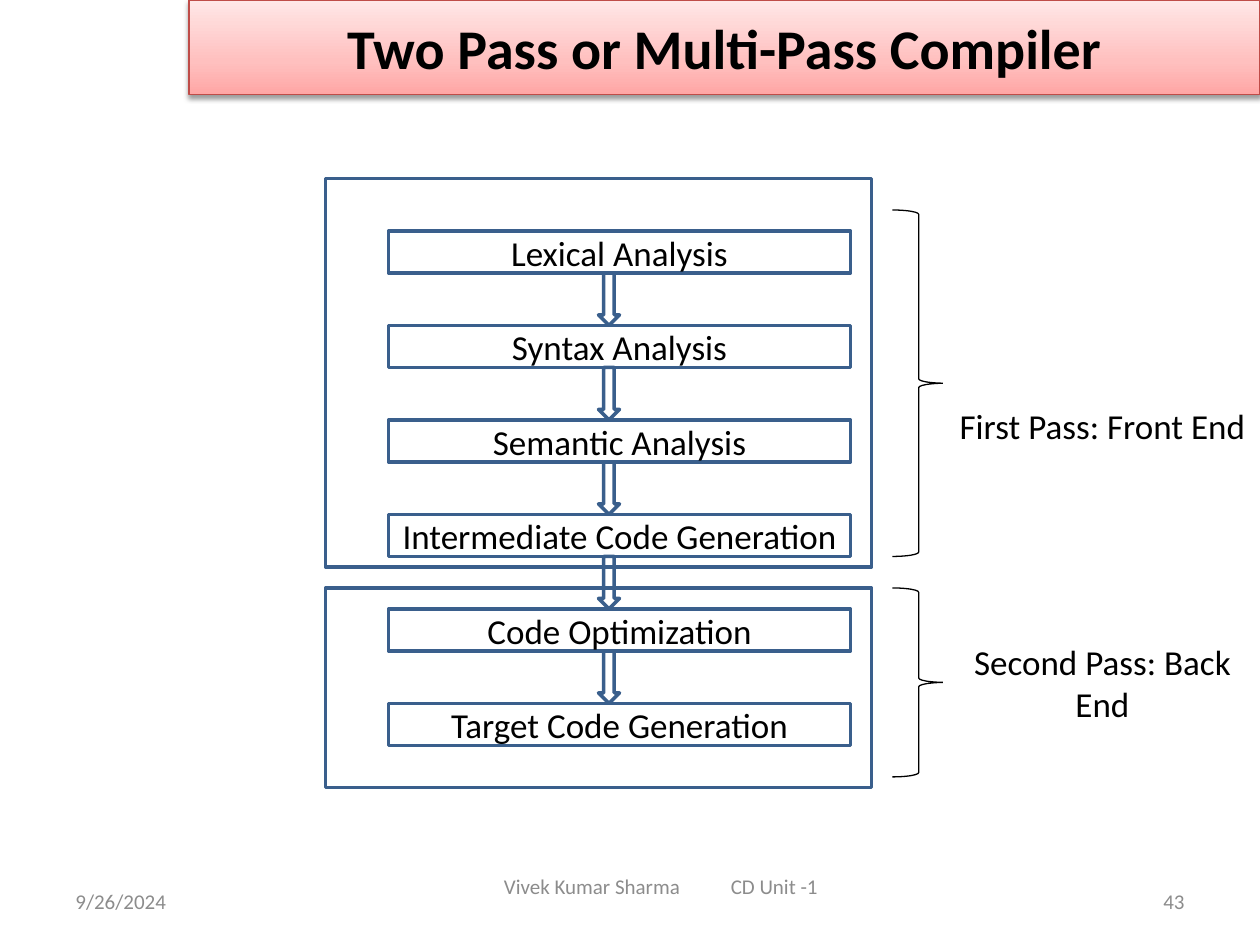
from dataclasses import dataclass

from lxml import etree
from pptx import Presentation
from pptx import util as u
from pptx.dml.color import RGBColor
from pptx.enum import shapes, text
from pptx.oxml.ns import qn

SHAPE = shapes.MSO_SHAPE
ALIGN = text.PP_ALIGN
COLS, ROWS = 120, 90


@dataclass(frozen=True)
class Theme:
    font: str = "Calibri"
    ink: str = "000000"
    paper: str = "FFFFFF"
    blue: str = "3A5F8C"
    red: str = "BF4C48"
    muted: str = "8C8C8C"
    banner: tuple = ((0, "FFA6A5"), (35, "FFC0BF"), (100, "FFE7E7"))
    title_size: int = 32
    body_size: int = 20
    footer_size: int = 12
    heavy: float = 2
    thin: float = 0.75


def write(sp, words, *, font, size, color, bold=False, align=ALIGN.CENTER):
    """Put one formatted paragraph in a shape and return it."""
    tf = sp.text_frame
    tf.word_wrap = True
    tf.auto_size = text.MSO_AUTO_SIZE.NONE
    tf.vertical_anchor = text.MSO_ANCHOR.MIDDLE
    p = tf.paragraphs[0]
    p.alignment = align
    r = p.add_run()
    r.text = words
    r.font.name, r.font.size, r.font.bold = font, u.Pt(size), bold
    r.font.color.rgb = RGBColor.from_string(color)
    return p


def sub(parent, tag, **attrs):
    return etree.SubElement(parent, qn(tag), {k: str(v) for k, v in attrs.items()})


class Deck:
    def __init__(self, theme):
        self.theme = theme
        self.prs = Presentation()
        self.prs.slide_width, self.prs.slide_height = u.Inches(10), u.Inches(7.5)
        self.slide = self.prs.slides.add_slide(self.prs.slide_layouts[5])

    def grid(self, col, row, cols, rows):
        dx, dy = self.prs.slide_width / COLS, self.prs.slide_height / ROWS
        return [u.Emu(round(v)) for v in (col * dx, row * dy, cols * dx, rows * dy)]

    def outline(self, sp, color, width):
        sp.line.color.rgb = RGBColor.from_string(color)
        sp.line.width = u.Pt(width)

    def title(self, words, *cell):
        t, sp = self.theme, self.slide.shapes.title
        sp.left, sp.top, sp.width, sp.height = self.grid(*cell)
        write(sp, words, font=t.font, size=t.title_size, color=t.ink, bold=True)
        # Three-stop gradient, then border, then soft shadow
        pr = sp._element.spPr
        grad = sub(pr, "a:gradFill", rotWithShape=1)
        stops = sub(grad, "a:gsLst")
        for pos, color in t.banner:
            sub(sub(stops, "a:gs", pos=pos * 1000), "a:srgbClr", val=color)
        sub(grad, "a:lin", ang=270 * 60000, scaled=0)
        self.outline(sp, t.red, t.thin)
        shadow = sub(sub(pr, "a:effectLst"), "a:outerShdw", blurRad=u.Pt(3.1),
                     dist=u.Pt(1.6), dir=90 * 60000, rotWithShape=0)
        sub(sub(shadow, "a:srgbClr", val=t.ink), "a:alpha", val=38000)

    def shape(self, kind, *cell, line, width, fill=None):
        sp = self.slide.shapes.add_shape(kind, *self.grid(*cell))
        sp.shadow.inherit = False
        if fill:
            sp.fill.solid()
            sp.fill.fore_color.rgb = RGBColor.from_string(fill)
        else:
            sp.fill.background()
        self.outline(sp, line, width)
        return sp

    def box(self, words, *cell, line):
        t = self.theme
        sp = self.shape(SHAPE.RECTANGLE, *cell, line=line, width=t.heavy, fill=t.paper)
        write(sp, words, font=t.font, size=t.body_size, color=t.ink)

    def footer(self, words, *cell, align=ALIGN.LEFT, inset=0.1, tab=None):
        t = self.theme
        sp = self.slide.shapes.add_textbox(*self.grid(*cell))
        p = write(sp, words, font=t.font, size=t.footer_size, color=t.muted, align=align)
        sp.text_frame.margin_left = u.Inches(inset)
        if tab:
            tabs = sub(p._p.get_or_add_pPr(), "a:tabLst")
            sub(tabs, "a:tab", pos=u.Inches(tab), algn="l")


def main():
    theme = Theme()
    deck = Deck(theme)
    blue = dict(line=theme.blue, width=theme.heavy)

    deck.title("Two Pass or Multi-Pass Compiler", 18, 0, 102, 9)

    # Footer line
    deck.footer("9/26/2024", 6, 83.4, 28, 4.8)
    deck.footer("43", 86, 83.4, 28, 4.8, align=ALIGN.RIGHT)
    deck.footer("Vivek Kumar Sharma\tCD Unit -1", 30, 82, 66, 4.8, inset=1.5, tab=1.8)

    # Compiler phases, one every nine rows, with arrows between
    phases = ["Lexical Analysis", "Syntax Analysis", "Semantic Analysis",
              "Intermediate Code Generation", "Code Optimization",
              "Target Code Generation"]
    first, pitch, height = 22, 9, 4
    for i, phase in enumerate(phases):
        deck.box(phase, 37, first + i * pitch, 44, height, line=theme.blue)
    for i in range(len(phases) - 1):
        deck.shape(SHAPE.DOWN_ARROW, 57, first + height + i * pitch,
                   2, pitch - height, **blue)

    # Passes: brace, label and frame, each as (row, rows)
    passes = [("First Pass: Front End", (20, 33), (31, 19), (17, 37)),
              ("Second Pass: Back End", (56, 18), (59, 12), (56, 19))]
    for name, brace, label, frame in passes:
        deck.shape(SHAPE.RIGHT_BRACE, 85, brace[0], 5, brace[1],
                   line=theme.ink, width=theme.thin)
        deck.box(name, 90, label[0], 30, label[1], line=theme.paper)
        deck.shape(SHAPE.RECTANGLE, 31, frame[0], 52, frame[1], **blue)

    deck.prs.save("out.pptx")


if __name__ == "__main__":
    main()
